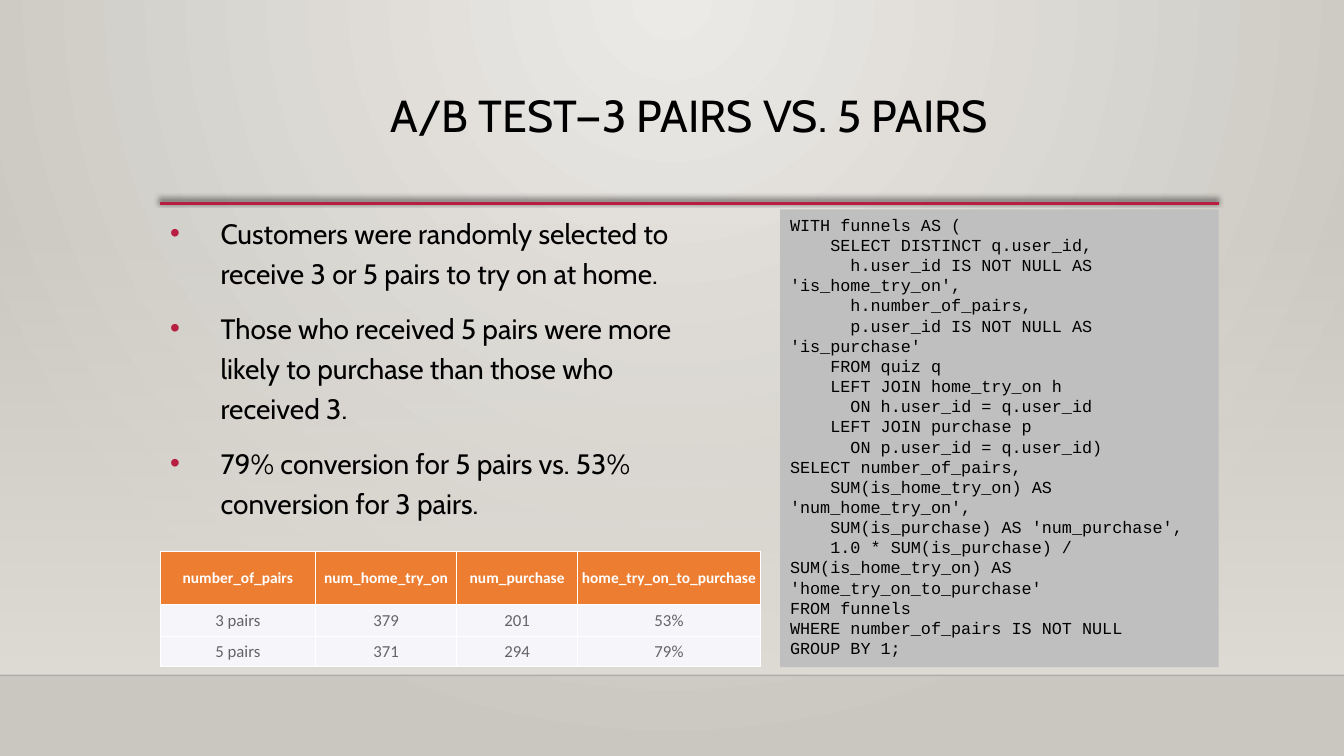
from lxml.etree import SubElement
from pptx import Presentation
from pptx.dml.color import RGBColor
from pptx.enum.shapes import MSO_CONNECTOR as Connector, MSO_SHAPE as Shape
from pptx.enum.text import MSO_ANCHOR as Anchor, PP_ALIGN as Align
from pptx.oxml import parse_xml
from pptx.oxml.ns import nsdecls, qn
from pptx.util import Cm, Pt

WIDTH, HEIGHT = 33.87, 19.05
LEFT, RIGHT = 4.04, 30.73
RULE_TOP, FLOOR_TOP = 5.13, 17.02
CODE_STEP = 0.254

BULLETS = [
    "Customers were randomly selected to receive 3 or 5 pairs to try on at home.",
    "Those who received 5 pairs were more likely to purchase than those who received 3.",
    "79% conversion for 5 pairs vs. 53% conversion for 3 pairs.",
]
QUERY = [
    (0, "WITH funnels AS ("),
    (4, "SELECT DISTINCT q.user_id,"),
    (6, "h.user_id IS NOT NULL AS 'is_home_try_on',"),
    (6, "h.number_of_pairs,"),
    (6, "p.user_id IS NOT NULL AS 'is_purchase'"),
    (4, "FROM quiz q"),
    (4, "LEFT JOIN home_try_on h"),
    (6, "ON h.user_id = q.user_id"),
    (4, "LEFT JOIN purchase p"),
    (6, "ON p.user_id = q.user_id)"),
    (0, "SELECT number_of_pairs,"),
    (4, "SUM(is_home_try_on) AS 'num_home_try_on',"),
    (4, "SUM(is_purchase) AS 'num_purchase',"),
    (4, "1.0 * SUM(is_purchase) / SUM(is_home_try_on) AS 'home_try_on_to_purchase'"),
    (0, "FROM funnels"),
    (0, "WHERE number_of_pairs IS NOT NULL"),
    (0, "GROUP BY 1;"),
]
RESULTS = [
    ["number_of_pairs", "num_home_try_on", "num_purchase", "home_try_on_to_purchase"],
    ["3 pairs", "379", "201", "53%"],
    ["5 pairs", "371", "294", "79%"],
]
COLUMN_WIDTHS = [3.91, 3.56, 3.05, 4.6]
ROW_HEIGHTS = [1.35, 0.79, 0.76]


def color(value):
    return RGBColor.from_string(value)


def set_font(paragraph, name, size, value, bold=False):
    font = paragraph.font
    font.name, font.size, font.bold = name, Pt(size), bold
    font.color.rgb = color(value)


def set_indent(paragraph, margin, first_line):
    properties = paragraph._p.get_or_add_pPr()
    properties.set("marL", str(Cm(margin)))
    properties.set("indent", str(Cm(first_line)))
    return properties


def set_gradient(fill, holder, start, end, opacity, direction):
    fill.solid()
    holder.replace(holder.find(qn("a:solidFill")), parse_xml(
        f'<a:gradFill {nsdecls("a")} rotWithShape="1"><a:gsLst>'
        f'<a:gs pos="0"><a:srgbClr val="{start}"><a:alpha val="{opacity * 1000}"/></a:srgbClr></a:gs>'
        f'<a:gs pos="100000"><a:srgbClr val="{end}"/></a:gs>'
        f'</a:gsLst>{direction}</a:gradFill>'))


def add_rectangle(page, left, top, width, height):
    box = page.shapes.add_shape(Shape.RECTANGLE, Cm(left), Cm(top), Cm(width), Cm(height))
    box.shadow.inherit = False
    box.line.fill.background()
    return box


def add_text(page, left, top, width, height):
    box = page.shapes.add_textbox(Cm(left), Cm(top), Cm(width), Cm(height))
    box.text_frame.word_wrap = True
    return box.text_frame


def add_rule(page, left, right, top, value, weight):
    rule = page.shapes.add_connector(Connector.STRAIGHT, Cm(left), Cm(top), Cm(right), Cm(top))
    rule.line.color.rgb = color(value)
    rule.line.width = Pt(weight)
    effects = SubElement(rule._element.spPr, qn("a:effectLst"))
    return rule, effects


def add_backdrop(page):
    fill = page.background.fill
    fill.solid()
    set_gradient(fill, page.element.find(".//" + qn("p:bgPr")), "ECEAE7", "CAC7C1", 100,
                 '<a:path path="circle"><a:fillToRect l="43000" r="43000" b="100000"/></a:path>')
    wall = add_rectangle(page, 0, 5.61, WIDTH, FLOOR_TOP - 5.61)
    set_gradient(wall.fill, wall._element.spPr, "DFDBD5", "DFDBD5", 0,
                 '<a:lin ang="5400000" scaled="0"/>')
    floor, _ = add_rule(page, 0, WIDTH, FLOOR_TOP, "000001", 1)
    tint = floor._element.spPr.find(".//" + qn("a:srgbClr"))
    SubElement(tint, qn("a:alpha"), val="20000")


def add_title(page, left, top, width, height):
    paragraph = add_text(page, left, top, width, height).paragraphs[0]
    paragraph.text = "A/B TEST—3 PAIRS VS. 5 PAIRS"
    paragraph.alignment = Align.CENTER
    paragraph.line_spacing = 0.9
    set_font(paragraph, "Cabin", 32, "000000")
    _, effects = add_rule(page, left, RIGHT, RULE_TOP, "B71E42", 2.5)
    shadow = SubElement(effects, qn("a:outerShdw"), blurRad=str(Pt(4)), dist=str(Pt(3)),
                        dir=str(245 * 60000), rotWithShape="0")
    tint = SubElement(shadow, qn("a:srgbClr"), val="000000")
    SubElement(tint, qn("a:alpha"), val="60000")


def add_bullets(page, left, top, width, height):
    frame = add_text(page, left, top, width, height)
    frame.text = "\n".join(BULLETS)
    for paragraph in frame.paragraphs:
        paragraph.line_spacing = 1.2
        paragraph.space_before = Pt(10)
        set_font(paragraph, "Cabin", 20, "000000")
        properties = set_indent(paragraph, 1.27, -1.27)
        bullet = parse_xml(f'<a:buChar {nsdecls("a")} char="•"/>')
        tint = parse_xml(f'<a:buClr {nsdecls("a")}><a:srgbClr val="B71E42"/></a:buClr>')
        face = parse_xml(f'<a:buFont {nsdecls("a")} typeface="Arial"/>')
        properties.find(qn("a:defRPr")).addprevious(tint)
        tint.addnext(face)
        face.addnext(bullet)


def add_query(page, left, top, width, height):
    box = add_rectangle(page, left, top, width, height)
    box.fill.solid()
    box.fill.fore_color.rgb = color("BFBFBF")
    frame = box.text_frame
    frame.word_wrap = True
    frame.vertical_anchor = Anchor.TOP
    frame.text = "\n".join(line for _, line in QUERY)
    for paragraph, (depth, _) in zip(frame.paragraphs, QUERY):
        paragraph.alignment = Align.LEFT
        set_font(paragraph, "Courier New", 12, "000000")
        set_indent(paragraph, 0, depth * CODE_STEP)


def add_borders(cell):
    properties = cell._tc.get_or_add_tcPr()
    for position, side in enumerate(["lnL", "lnR", "lnT", "lnB"]):
        properties.insert(position, parse_xml(
            f'<a:{side} {nsdecls("a")} w="{Pt(1)}"><a:solidFill>'
            f'<a:srgbClr val="FFFFFF"/></a:solidFill></a:{side}>'))


def add_results(page, left, top):
    table = page.shapes.add_table(len(RESULTS), len(COLUMN_WIDTHS), Cm(left), Cm(top),
                                  Cm(sum(COLUMN_WIDTHS)), Cm(sum(ROW_HEIGHTS))).table
    for column, width in zip(table.columns, COLUMN_WIDTHS):
        column.width = Cm(width)
    for number, (row, height) in enumerate(zip(table.rows, ROW_HEIGHTS)):
        row.height = Cm(height)
        header = number == 0
        for cell, text in zip(row.cells, RESULTS[number]):
            cell.text = text
            cell.vertical_anchor = Anchor.MIDDLE
            cell.margin_left = cell.margin_right = cell.margin_top = Cm(0.03)
            cell.margin_bottom = 0
            cell.fill.solid()
            cell.fill.fore_color.rgb = color("ED7D31" if header else "F6F5FA")
            add_borders(cell)
            paragraph = cell.text_frame.paragraphs[0]
            paragraph.alignment = Align.CENTER
            set_font(paragraph, "Calibri", 11 if header else 12,
                     "FFFFFF" if header else "646466", header)


def main():
    deck = Presentation()
    deck.slide_width, deck.slide_height = Cm(WIDTH), Cm(HEIGHT)
    page = deck.slides.add_slide(deck.slide_layouts[6])
    add_backdrop(page)
    add_title(page, LEFT, 2.24, 26.67, 2.92)
    add_query(page, 19.66, 5.28, 11.05, 11.53)
    add_bullets(page, LEFT, 5.16, 13.84, 8.05)
    add_results(page, LEFT, 13.89)
    deck.save("out.pptx")


if __name__ == "__main__":
    main()
